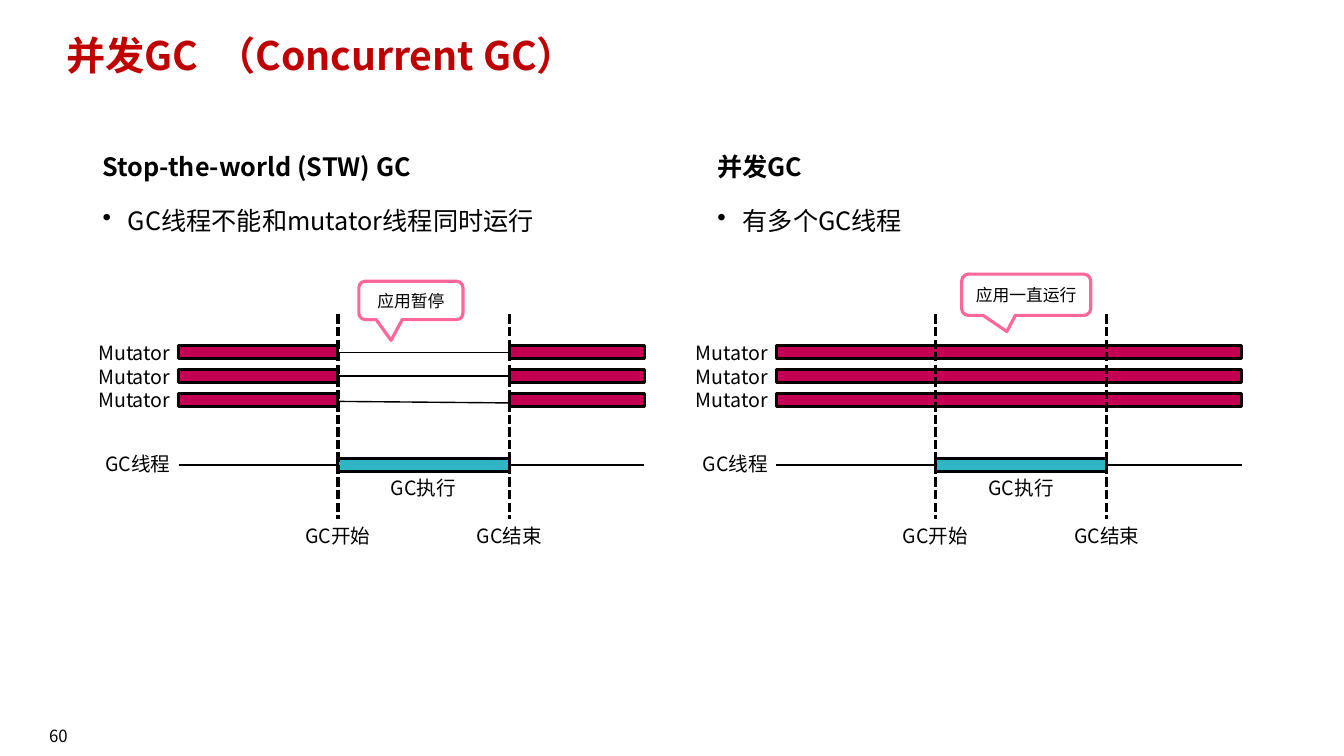
from pptx import Presentation
from pptx.dml.color import RGBColor
from pptx.enum import dml, shapes, text
from pptx.oxml.ns import qn
from pptx.util import Pt

FONT = "Noto Sans CJK SC"
BLACK = RGBColor(0, 0, 0)
WHITE = RGBColor(255, 255, 255)
RED = RGBColor(0xC0, 0, 0)
CRIMSON = RGBColor(0xC4, 0, 0x54)
TEAL = RGBColor(0x30, 0xB5, 0xC5)
PINK = RGBColor(0xFF, 0x66, 0x99)

LEFT, CENTER, RIGHT = text.PP_ALIGN.LEFT, text.PP_ALIGN.CENTER, text.PP_ALIGN.RIGHT
TOP, MIDDLE = text.MSO_ANCHOR.TOP, text.MSO_ANCHOR.MIDDLE

# Lengths shared by both diagrams
SPAN = 332.6          # full length of a thread
START, STOP = 113.8, 236.2   # GC start and end, from the left of a thread
THICK = 9.4           # bar height
LANES = [247 + 17 * i for i in range(3)]
GC_TOP = 327.6


def write(shape, words, size=14, color=BLACK, bold=False, align=LEFT,
          anchor=TOP, pad=(0, 0, 0, 0), space=None, bullet=False):
    frame = shape.text_frame
    frame.word_wrap = True
    frame.auto_size = text.MSO_AUTO_SIZE.NONE
    frame.vertical_anchor = anchor
    (frame.margin_left, frame.margin_top,
     frame.margin_right, frame.margin_bottom) = map(Pt, pad)
    para = frame.paragraphs[0]
    para.alignment = align
    if space:
        para.line_spacing = space
    if bullet:
        props = para._p.get_or_add_pPr()
        props.set("marL", str(Pt(18)))
        props.set("indent", str(Pt(-18)))
        mark = props.makeelement(qn("a:buChar"), {"char": "•"})
        props.append(mark)
    run = para.add_run()
    run.text = words
    run.font.name = FONT
    run.font.size = Pt(size)
    run.font.bold = bold
    run.font.color.rgb = color
    asian = run._r.rPr.makeelement(qn("a:ea"), {"typeface": FONT})
    run._r.rPr.find(qn("a:latin")).addnext(asian)


def label(slide, words, x, y, w, h, **form):
    write(slide.shapes.add_textbox(Pt(x), Pt(y), Pt(w), Pt(h)), words, **form)


def block(slide, kind, x, y, w, h, fill, edge):
    shape = slide.shapes.add_shape(kind, Pt(x), Pt(y), Pt(w), Pt(h))
    shape.shadow.inherit = False
    shape.fill.solid()
    shape.fill.fore_color.rgb = fill
    shape.line.color.rgb = edge
    shape.line.width = Pt(2.25)
    return shape


def bar(slide, x, y, w, fill):
    return block(slide, shapes.MSO_SHAPE.RECTANGLE, x, y, w, THICK, fill, BLACK)


def line(slide, x1, y1, x2, y2, width=1, dash=None):
    link = slide.shapes.add_connector(
        shapes.MSO_CONNECTOR.STRAIGHT, Pt(x1), Pt(y1), Pt(x2), Pt(y2))
    link.line.color.rgb = BLACK
    link.line.width = Pt(width)
    if dash:
        link.line.dash_style = dash
    props = link._element.spPr
    props.append(props.makeelement(qn("a:effectLst"), {}))
    return link


def bubble(slide, words, x, y, w, h, tip):
    shape = block(slide, shapes.MSO_SHAPE.ROUNDED_RECTANGULAR_CALLOUT,
                  x, y, w, h, WHITE, PINK)
    shape.adjustments[0], shape.adjustments[1] = tip
    write(shape, words, size=12, align=CENTER, anchor=MIDDLE,
          pad=(7.2, 3.6, 7.2, 3.6))


def column(slide, x, head, point):
    pad = (7.2, 3.6, 7.2, 3.6)
    label(slide, head, x, 106.6, 388.5, 27.4, size=18, bold=True, space=0.9, pad=pad)
    label(slide, point, x, 145.4, 388.5, 304.6, size=18, space=0.9, pad=pad, bullet=True)


def threads(slide, x, parts, drops):
    """Draw three mutators, each as bars (from, to), and the GC thread."""
    form = dict(align=RIGHT, pad=(2.9, 0, 5.8, 0))
    for top, drop in zip(LANES, drops):
        mid = top + THICK / 2
        link = line(slide, x, mid, x + SPAN, mid + drop)
        bars = [bar(slide, x + a, top, b - a, CRIMSON) for a, b in parts]
        link.begin_connect(bars[0], 1)
        if not drop:
            link.end_connect(bars[-1], 3)
        label(slide, "Mutator", x - 70.3, top - 3.6, 70.3, 17, **form)

    mid = GC_TOP + THICK / 2
    line(slide, x, mid, x + SPAN, mid)
    bar(slide, x + START, GC_TOP, STOP - START, TEAL)
    label(slide, "GC线程", x - 70.3, GC_TOP - 5, 70.3, 17, **form)
    label(slide, "GC执行", x + START, 339.8, STOP - START, 17, align=CENTER)

    # GC start and end marks
    for at, words in ((START, "GC开始"), (STOP, "GC结束")):
        line(slide, x + at, 224.6, x + at, 370.4, 2.25, dml.MSO_LINE.SQUARE_DOT)
        label(slide, words, x + at - 33, 374, 66, 17, align=CENTER)


def main():
    deck = Presentation()
    deck.slide_width, deck.slide_height = Pt(960), Pt(540)
    slide = deck.slides.add_slide(deck.slide_layouts[5])

    # Title and page number
    title = slide.shapes.title
    title.left, title.top, title.width, title.height = map(Pt, (40.3, 22.3, 828, 46.8))
    write(title, "并发GC  （Concurrent GC）", size=28, color=RED, bold=True,
          space=0.9, pad=(7.2, 3.6, 7.2, 3.6))
    label(slide, "60", 0, 511.2, 83.5, 28.8, size=12, align=CENTER, anchor=MIDDLE)

    # Stop-the-world side
    column(slide, 66.2, "Stop-the-world (STW) GC", "GC线程不能和mutator线程同时运行")
    threads(slide, 127.6, [(0, START), (STOP, SPAN)], (0, 0, 3))
    bubble(slide, "应用暂停", 256.3, 200.9, 74.4, 27.4, (-0.19, 1.04))

    # Concurrent side
    column(slide, 505.4, "并发GC", "有多个GC线程")
    threads(slide, 554.4, [(0, SPAN)], (0, 0, 0))
    bubble(slide, "应用一直运行", 686.9, 195.8, 92.2, 29.5, (-0.15, 0.89))

    deck.save("out.pptx")


if __name__ == "__main__":
    main()
